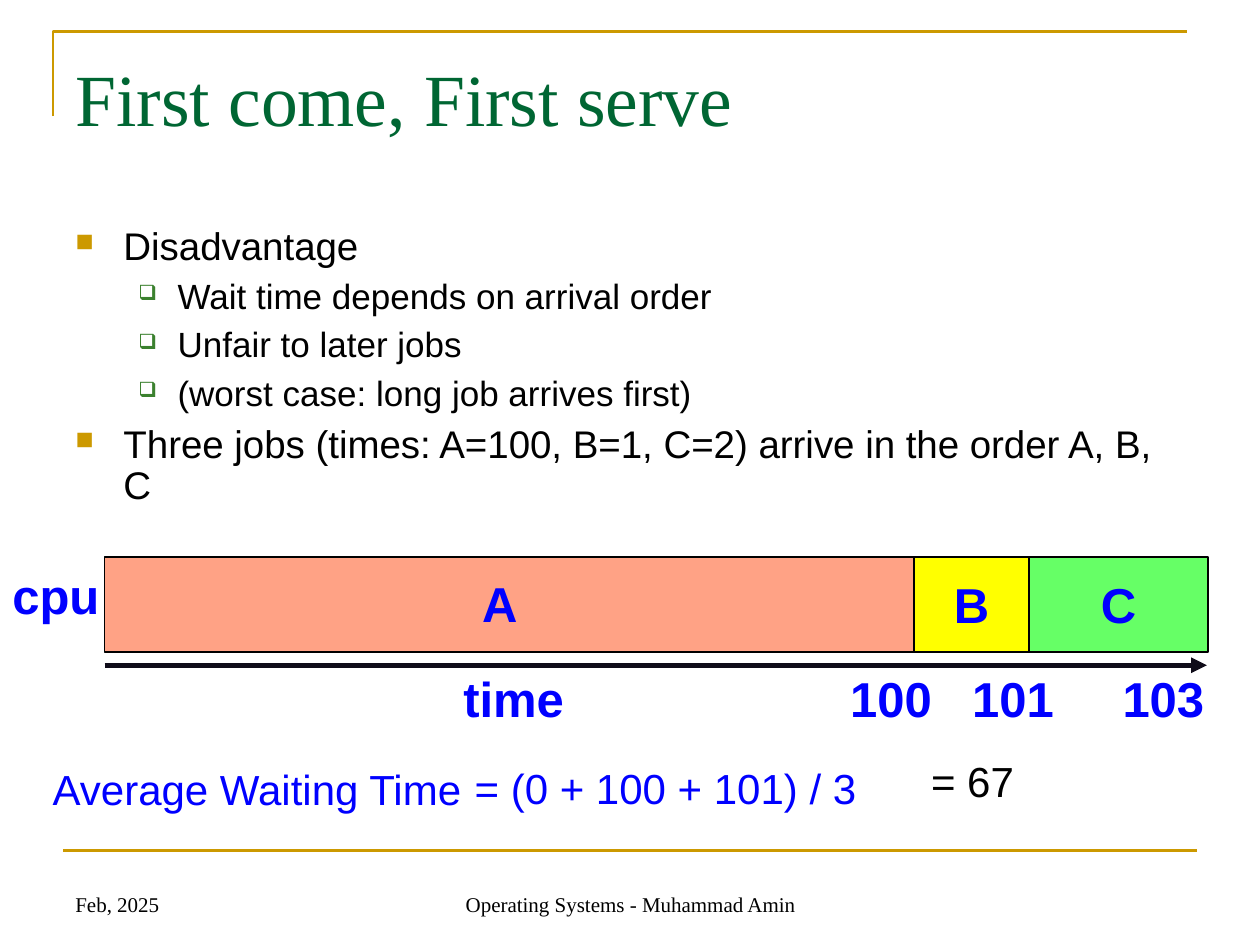
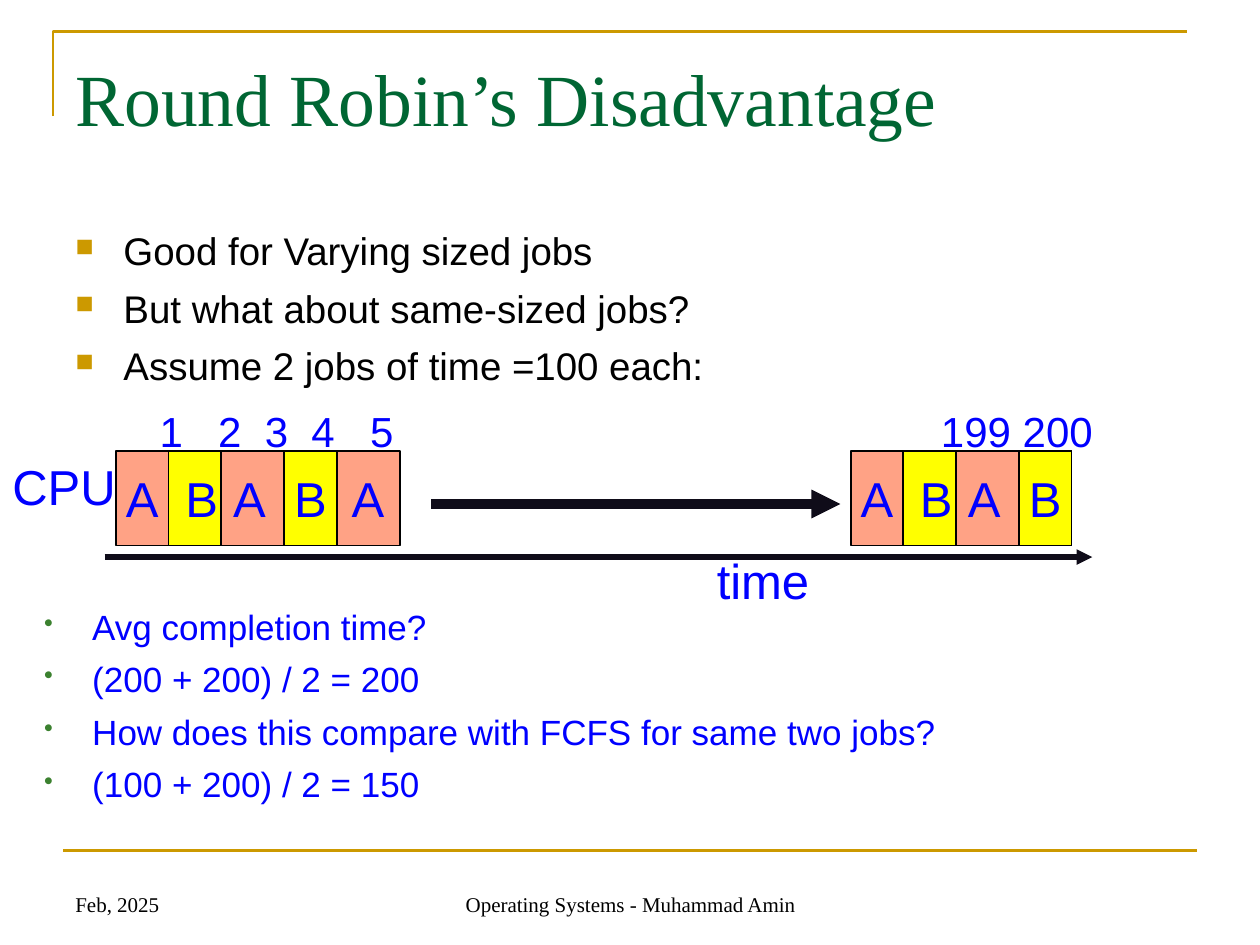
from lxml import etree
from pptx import Presentation
from pptx import util as u
from pptx.dml.color import RGBColor
from pptx.enum import shapes, text
from pptx.oxml import ns

HUES = {
    "gold": "CC9900", "green": "006633", "leaf": "3B812F", "blue": "0000FF",
    "black": "000000", "ink": "0F0C19", "salmon": "FFA285",
    "yellow": "FFFF00", "lime": "66FF66",
}
SANS, SERIF = "Arial", "Times New Roman"
LEFT, MID = text.PP_ALIGN.LEFT, text.PP_ALIGN.CENTER
TOP, BASE = text.MSO_ANCHOR.TOP, text.MSO_ANCHOR.BOTTOM
SQUARE = ("■", "gold", 65, 0.97, 0.97)
HOLLOW = ("❑", "leaf", 60, 2.06, 0.79)
DOT = ("•", "leaf", 75, 0.97, 0.97)


class Deck:
    def __init__(self):
        self.file = Presentation()
        self.file.slide_width = u.Cm(25.4)
        self.file.slide_height = u.Cm(19.05)
        self.slide = None

    def hue(self, name):
        return RGBColor.from_string(HUES[name])

    def style(self, para, size, hue="blue", face=SANS, bold=False, align=LEFT):
        para.alignment = align
        font = para.font
        font.size, font.name, font.bold = u.Pt(size), face, bold
        font.color.rgb = self.hue(hue)

    def frame(self, shape, anchor=TOP, wrap=True, left=0.25, top=0.13):
        frame = shape.text_frame
        frame.auto_size = text.MSO_AUTO_SIZE.NONE
        frame.word_wrap, frame.vertical_anchor = wrap, anchor
        frame.margin_left, frame.margin_right = u.Cm(left), u.Cm(0.25)
        frame.margin_top, frame.margin_bottom = u.Cm(top), u.Cm(0.13)
        return frame

    def page(self, title):
        self.slide = self.file.slides.add_slide(self.file.slide_layouts[5])
        head = self.slide.shapes.title
        head.left, head.top = u.Cm(1.27), u.Cm(0.76)
        head.width, head.height = u.Cm(22.86), u.Cm(3.18)
        frame = self.frame(head, top=0.3)
        frame.text = title
        self.style(frame.paragraphs[0], 42, "green", SERIF)
        self.corner()
        self.line(1.27, 24.13, 17.15, "gold", 1.5)
        self.label("Feb, 2025", 1.27, 17.35, 5.92, 1.27, 12, BASE,
                   hue="black", face=SERIF)
        self.label("Operating Systems - Muhammad Amin", 8.69, 17.35, 8.05, 1.27,
                   12, BASE, hue="black", face=SERIF, align=MID)

    def corner(self):
        pen = self.slide.shapes.build_freeform(u.Cm(1.07), u.Cm(2.34))
        pen.add_line_segments([(u.Cm(1.07), u.Cm(0.64)),
                               (u.Cm(23.93), u.Cm(0.64))], close=False)
        shape = pen.convert_to_shape()
        shape.shadow.inherit = False
        shape.fill.background()
        shape.line.color.rgb, shape.line.width = self.hue("gold"), u.Pt(1.5)

    def line(self, start, end, y, hue="ink", weight=3, arrow=False):
        line = self.slide.shapes.add_connector(
            shapes.MSO_CONNECTOR.STRAIGHT, u.Cm(start), u.Cm(y), u.Cm(end), u.Cm(y))
        line.line.color.rgb, line.line.width = self.hue(hue), u.Pt(weight)
        if arrow:
            etree.SubElement(line.line._get_or_add_ln(), ns.qn("a:tailEnd"),
                             type="triangle")
        etree.SubElement(line._element.spPr, ns.qn("a:effectLst"))

    def label(self, words, x, y, width, height, size, anchor=TOP, **look):
        box = self.slide.shapes.add_textbox(
            u.Cm(x), u.Cm(y), u.Cm(width), u.Cm(height))
        frame = self.frame(box, anchor)
        frame.text = words
        self.style(frame.paragraphs[0], size, **look)

    def block(self, x, y, width, fill, words="", bold=False, left=0.25):
        box = self.slide.shapes.add_shape(
            shapes.MSO_SHAPE.RECTANGLE, u.Cm(x), u.Cm(y), u.Cm(width), u.Cm(1.91))
        box.shadow.inherit = False
        box.fill.solid()
        box.fill.fore_color.rgb = self.hue(fill)
        box.line.color.rgb, box.line.width = self.hue("black"), u.Pt(1)
        if words:
            frame = self.frame(box, text.MSO_ANCHOR.MIDDLE, False, left)
            frame.text = words
            self.style(frame.paragraphs[0], 28, bold=bold, align=MID)

    def bullet(self, para, mark):
        char, hue, scale, indent, hang = mark
        props = para._p.get_or_add_pPr()
        props.set("marL", str(u.Cm(indent)))
        props.set("indent", str(-u.Cm(hang)))
        tint = etree.SubElement(props, ns.qn("a:buClr"))
        etree.SubElement(tint, ns.qn("a:srgbClr"), val=HUES[hue])
        etree.SubElement(props, ns.qn("a:buSzPct"), val=str(scale * 1000))
        etree.SubElement(props, ns.qn("a:buChar"), char=char)

    def points(self, items, x, y, width, height, hue="black", pitch=1.0):
        box = self.slide.shapes.add_textbox(
            u.Cm(x), u.Cm(y), u.Cm(width), u.Cm(height))
        frame = self.frame(box)
        frame.text = "\n".join(words for mark, words in items)
        for para, (mark, words) in zip(frame.paragraphs, items):
            big = mark is SQUARE
            para.level = int(mark is HOLLOW)
            self.bullet(para, mark)
            para.line_spacing = pitch
            para.space_before = u.Pt(6.4 if big else 6)
            self.style(para, 22 if big else 20, hue)

    def burst(self, x, width, jobs):
        self.block(x, 9.09, width, "salmon")
        self.block(x + 1.06, 9.09, 1.06, "yellow", "B", left=0.52)
        self.block(x + 3.39, 9.09, 1.06, "yellow", "B")
        for shift in (-0.05, 2.11, 4.5)[:jobs]:
            self.label("A", x + shift, 9.31, 1.2, 1.45, 28)


def first_come(deck):
    deck.page("First come, First serve")
    deck.points([
        (SQUARE, "Disadvantage"),
        (HOLLOW, "Wait time depends on arrival order"),
        (HOLLOW, "Unfair to later jobs"),
        (HOLLOW, "(worst case: long job arrives first)"),
        (SQUARE, "Three jobs (times: A=100, B=1, C=2) arrive in the order A, B, C"),
    ], 1.27, 4.45, 22.86, 7.26, pitch=0.9)
    for words, x in (("time", 9.09), ("100", 16.89), ("101", 19.35), ("103", 22.38)):
        deck.label(words, x, 13.34, 2.6, 1.45, 28, bold=True)
    deck.label("cpu", 0, 11.28, 2.6, 1.45, 28, bold=True)
    deck.line(2.11, 24.33, 13.41, arrow=True)
    deck.block(2.11, 11.23, 16.31, "salmon")
    deck.label("A", 9.47, 11.43, 4.5, 1.45, 28, bold=True)
    deck.block(18.42, 11.23, 2.33, "yellow", "B", True)
    deck.block(20.75, 11.23, 3.6, "lime", "C", True)
    deck.label("Average Waiting Time", 0, 15.27, 10.36, 1.27, 24, align=MID)
    deck.label("= (0 + 100 + 101) / 3", 9.32, 15.24, 9, 1.27, 24)
    deck.label("= 67", 18.52, 15.11, 2.6, 1.27, 24, hue="black")


def round_robin(deck):
    deck.page("Round Robin’s Disadvantage")
    deck.points([
        (SQUARE, "Good for Varying sized jobs"),
        (SQUARE, "But what about same-sized jobs?"),
        (SQUARE, "Assume 2 jobs of time =100 each:"),
    ], 1.27, 4.45, 22.86, 4.09)
    deck.label("time", 14.2, 10.97, 2.6, 1.45, 28)
    ticks = (2.97, 4.15, 5.09, 6.03, 7.21)
    for count, x in enumerate(ticks, 1):
        deck.label(str(count), x, 8.05, 1.2, 1.27, 24)
    deck.label("199 200", 18.72, 8.05, 4, 1.27, 24)
    deck.label("CPU", 0, 9.07, 2.8, 1.45, 28)
    deck.line(2.11, 22.02, 11.23, arrow=True)
    deck.burst(2.34, 5.72, 3)
    deck.line(8.69, 16.94, 10.16, weight=5.5, arrow=True)
    deck.burst(17.15, 4.45, 2)
    deck.points([
        (DOT, "Avg completion time?"),
        (DOT, "(200 + 200) / 2 = 200"),
        (DOT, "How does this compare with FCFS for same two jobs?"),
        (DOT, "(100 + 200) / 2 = 150"),
    ], 0.64, 12.07, 24.76, 5.72, hue="blue")


def main():
    deck = Deck()
    first_come(deck)
    round_robin(deck)
    deck.file.save("out.pptx")


if __name__ == "__main__":
    main()
